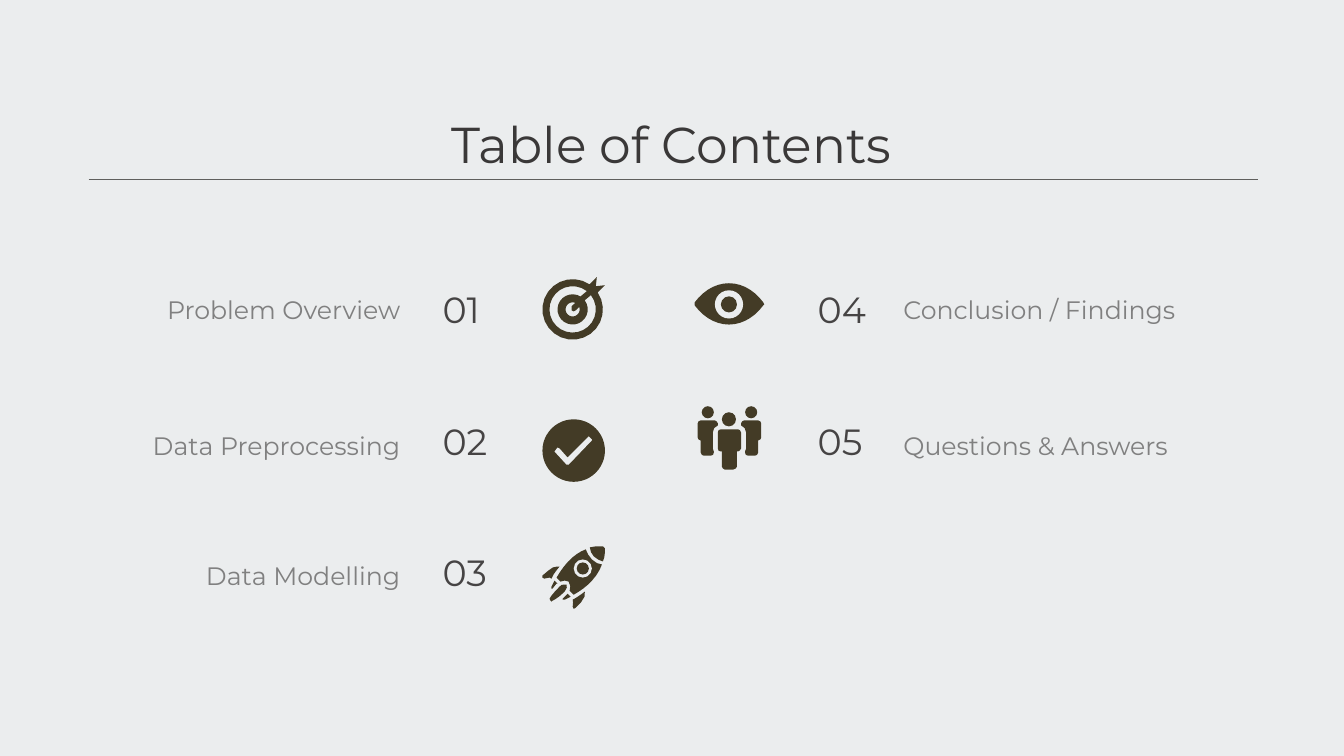
import math
import lxml.etree
import pptx
import pptx.dml.color
import pptx.enum.shapes
import pptx.enum.text
import pptx.oxml.ns
import pptx.util

ALIGN = pptx.enum.text.PP_ALIGN
ARGUMENT_COUNTS = {"M": 2, "L": 2, "C": 6, "A": 5}

TARGET = [
    "M 571 300 L 567 304 L 567 308 L 569 309 L 571 308 L 575 304 A 568 307 7 -22 293",
    "A 568 307 23 -38 308 L 576 294 A 568 307 15 302 -37",
    "M 592 275 L 585 282 A 568 307 30 304 -34 L 600 283 L 591 284",
]
CHECK_MARK = ["M 584 433 L 587 436 L 587 437 L 564 461 L 562 461 L 550 448 "
              "L 553 444 L 555 445 L 563 454"]
EYE_LENS = ["M 723 281 C 736 281 748 288 757 300 L 758 302 L 757 303 "
            "C 748 315 736 322 723 322 C 710 322 698 315 689 303 "
            "L 689 300 C 698 288 710 281 723 281"]
ROCKET = [
    "M 550 576 L 547 582 L 547 584 L 548 584 L 552 579 L 553 579",
    "M 563 589 L 558 594 L 558 595 L 560 595 L 566 592",
    "M 560 580 C 558 580 556 580 555 582 C 549 588 546 592 545 594 L 546 596 L 547 597 "
    "L 548 596 C 550 595 554 593 560 587 C 562 585 563 581 562 580",
    "M 553 562 C 550 562 547 563 544 566 L 538 571 L 538 573 L 540 574 L 545 573 "
    "L 547 574 C 549 569 552 566 555 562",
    "M 580 587 C 576 590 572 593 568 595 C 569 596 568 598 568 602 L 569 604 "
    "L 571 603 L 576 598 C 580 594 581 589 580 587",
    "M 596 542 C 592 542 588 542 585 543 C 585 546 587 550 589 552 "
    "C 592 555 595 556 598 557 C 600 553 600 548 600 544 L 598 542",
    "M 581 545 C 570 549 560 559 552 573 L 556 577 L 560 576 L 564 577 "
    "C 566 580 566 583 565 586 L 569 590 C 580 584 592 574 597 560 "
    "C 594 560 590 558 587 555 C 584 552 582 548 581 545",
]
SIDE_BODY = [
    "M 695 417 C 693 417 692 419 692 420 L 692 434 C 692 435 693 437 695 437 L 695 449 "
    "C 695 451 697 452 698 452 L 705 452 C 707 452 708 451 708 449 L 708 448 "
    "L 707 445 L 707 429 C 707 426 709 423 712 422 L 712 420 C 712 419 710 417 709 417"]
FRONT_BODY = [
    "M 715 426 C 713 426 712 427 712 429 L 712 445 C 712 447 713 448 715 448 L 716 448 "
    "L 716 463 C 716 464 718 466 719 466 L 727 466 C 729 466 731 464 731 463 L 731 448 "
    "L 732 448 C 733 448 735 446 735 445 L 735 429 C 735 427 733 426 732 426"]
MIRROR_SUM = 1447


def color(hex_string):
    return pptx.dml.color.RGBColor.from_string(hex_string)


def px(length):
    return pptx.util.Emu(round(length * 9144))


def arc(center_x, center_y, radius, start, end):
    steps = math.ceil(abs(end - start) / 15)
    angles = [math.radians(start + (end - start) * i / steps) for i in range(steps + 1)]
    return [(center_x + radius * math.cos(a), center_y + radius * math.sin(a)) for a in angles]


def bezier(start, numbers):
    controls = [start, *zip(numbers[::2], numbers[1::2])]
    steps = max(2, math.ceil(math.dist(start, controls[-1]) / 6))
    points = []
    for step in range(1, steps + 1):
        t = step / steps
        weights = [math.comb(3, i) * (1 - t) ** (3 - i) * t ** i for i in range(4)]
        points.append(tuple(sum(w * c[axis] for w, c in zip(weights, controls))
                            for axis in (0, 1)))
    return points


def contour_points(contour):
    tokens = contour.split()
    points = []
    while tokens:
        command = tokens.pop(0)
        count = ARGUMENT_COUNTS[command]
        numbers = [int(token) for token in tokens[:count]]
        del tokens[:count]
        if command == "C":
            points += bezier(points[-1], numbers)
        elif command == "A":
            points += arc(*numbers)
        else:
            points.append(tuple(numbers))
    return points


class Canvas:
    font = "Montserrat"
    title_color = "3A3838"
    number_color = "464444"
    label_color = "808080"
    icon_color = "433B26"
    rule_color = "5F5F5D"
    back_color = "EBEDEE"

    def __init__(self, page):
        self.page = page
        page.background.fill.solid()
        page.background.fill.fore_color.rgb = color(self.back_color)

    def text(self, words, left, top, width, height, size, hex_string, align):
        box = self.page.shapes.add_textbox(px(left), px(top), px(width), px(height))
        frame = box.text_frame
        para = frame.paragraphs[0]
        para.alignment = align
        span = para.add_run()
        span.text = words
        span.font.name = self.font
        span.font.size = pptx.util.Pt(size)
        span.font.color.rgb = color(hex_string)
        return frame

    def title(self, words, left, top, width, height):
        frame = self.text(words, left, top, width, height, 36, self.title_color, ALIGN.CENTER)
        frame.word_wrap = False
        frame.auto_size = pptx.enum.text.MSO_AUTO_SIZE.SHAPE_TO_FIT_TEXT

    def entry(self, *arguments):
        frame = self.text(*arguments)
        frame.word_wrap = True
        frame.vertical_anchor = pptx.enum.text.MSO_ANCHOR.BOTTOM
        frame.margin_left = frame.margin_right = px(13)
        frame.margin_top = frame.margin_bottom = px(13)
        frame.paragraphs[0].line_spacing = 0.9

    def number(self, words, left, top):
        self.entry(words, left, top, 172, 88, 26, self.number_color, ALIGN.LEFT)

    def label(self, words, left, top, width, align):
        self.entry(words, left, top, width, 29, 18, self.label_color, align)

    def paint(self, shape, hex_string):
        shape.shadow.inherit = False
        shape.fill.solid()
        shape.fill.fore_color.rgb = color(hex_string)
        shape.line.fill.background()

    def disc(self, center_x, center_y, radius, hex_string=icon_color):
        shape = self.page.shapes.add_shape(
            pptx.enum.shapes.MSO_SHAPE.OVAL, px(center_x - radius), px(center_y - radius),
            px(2 * radius), px(2 * radius))
        self.paint(shape, hex_string)

    def outline(self, contours, hex_string=icon_color, mirror_sum=None):
        builder = None
        for contour in contours:
            points = contour_points(contour)
            if mirror_sum:
                points = [(mirror_sum - x, y) for x, y in points]
            points = [(px(x), px(y)) for x, y in points]
            if builder is None:
                builder = self.page.shapes.build_freeform(*points[0])
            else:
                builder.move_to(*points[0])
            builder.add_line_segments(points[1:], close=True)
        self.paint(builder.convert_to_shape(), hex_string)

    def rule(self, left, right, top):
        line = self.page.shapes.add_connector(
            pptx.enum.shapes.MSO_CONNECTOR.STRAIGHT, px(left), px(top), px(right), px(top))
        line.line.color.rgb = color(self.rule_color)
        line.line.width = pptx.util.Pt(0.5)
        lxml.etree.SubElement(line._element.spPr, pptx.oxml.ns.qn("a:effectLst"))


def main():
    deck = pptx.Presentation()
    deck.slide_width = pptx.util.Inches(13.33)
    deck.slide_height = pptx.util.Inches(7.5)
    canvas = Canvas(deck.slides.add_slide(deck.slide_layouts[6]))

    canvas.title("Table of Contents", 413, 107, 506, 71)
    rows = [(254, 306), (385, 441), (515, 570)]
    left_labels = ["Problem Overview", "Data Preprocessing", "Data Modelling"]
    right_labels = [("Conclusion / Findings", 322), ("Questions & Answers", 449)]
    for index, (words, (number_top, label_top)) in enumerate(zip(left_labels, rows), 1):
        canvas.number(f"{index:02}", 426, number_top)
        canvas.label(words, 107, label_top, 303, ALIGN.RIGHT)
    for index, ((words, width), (number_top, label_top)) in enumerate(zip(right_labels, rows), 4):
        canvas.number(f"{index:02}", 798, number_top)
        canvas.label(words, 883, label_top, width, ALIGN.LEFT)

    canvas.outline(TARGET)
    for part in ROCKET:
        canvas.outline([part])
    canvas.disc(578, 564, 9, canvas.back_color)
    canvas.disc(578, 564, 6)
    canvas.disc(569, 447, 31)
    canvas.outline(CHECK_MARK, canvas.back_color)
    for head_x, mirror_sum in ((702, None), (745, MIRROR_SUM)):
        canvas.disc(head_x, 409, 6)
        canvas.outline(SIDE_BODY, mirror_sum=mirror_sum)
    canvas.outline(FRONT_BODY)
    canvas.disc(723, 416, 7)
    canvas.outline(EYE_LENS)
    canvas.disc(723, 302, 14, canvas.back_color)
    canvas.disc(723, 302, 8)
    canvas.rule(88, 1248, 178)
    deck.save("out.pptx")


if __name__ == "__main__":
    main()
